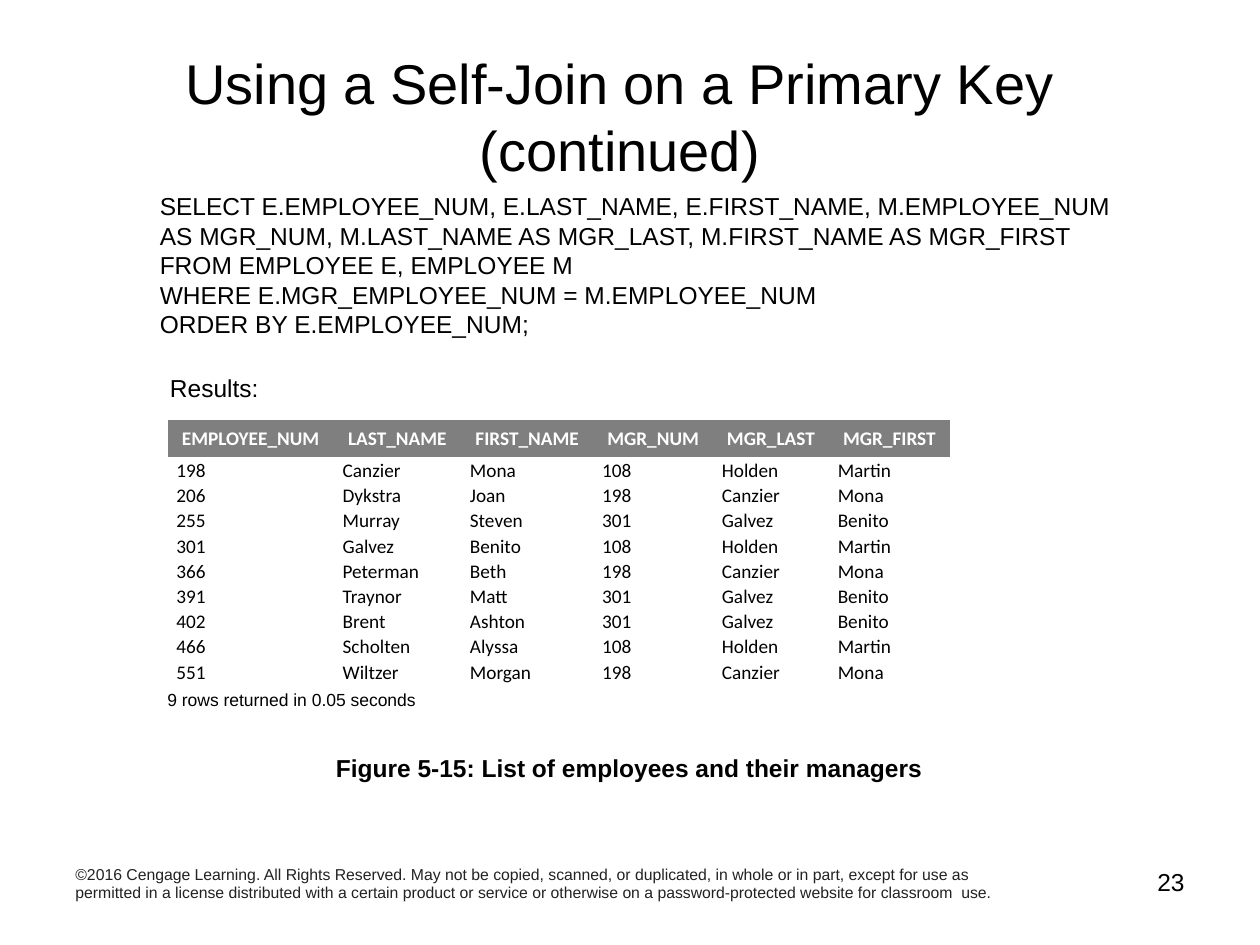
"""Build the slide on a self-join over a primary key, with its query and result table."""
from dataclasses import dataclass

from pptx import Presentation
from pptx.dml.color import RGBColor
from pptx.enum.text import MSO_ANCHOR as Anchor, PP_ALIGN as Align
from pptx.oxml.ns import qn
from pptx.slide import Slide
from pptx.util import Inches, Pt

COLORS = {"text": "000000", "copyright": "222222", "header": "7F7F7F", "header_text": "FFFFFF"}
PLAIN_STYLE = "{2D5ABB26-0587-4C30-8999-92F81FD0307C}"
CELL_FORMAT = {
    "vertical_anchor": Anchor.MIDDLE,
    "margin_left": Inches(0.07),
    "margin_right": Inches(0.07),
    "margin_top": 0,
    "margin_bottom": 0,
}


@dataclass(frozen=True)
class TextBlock:
    """A block of text with its place and look."""

    lines: tuple[str, ...]
    left: float
    top: float
    width: float
    height: float
    size: float = 14
    color: str = "text"
    bold: bool = False
    align: Align = Align.LEFT
    anchor: Anchor = Anchor.TOP
    wrap: bool = True


QUERY = (
    "SELECT E.EMPLOYEE_NUM, E.LAST_NAME, E.FIRST_NAME, M.EMPLOYEE_NUM AS MGR_NUM, "
    "M.LAST_NAME AS MGR_LAST, M.FIRST_NAME AS MGR_FIRST",
    "FROM EMPLOYEE E, EMPLOYEE M",
    "WHERE E.MGR_EMPLOYEE_NUM = M.EMPLOYEE_NUM",
    "ORDER BY E.EMPLOYEE_NUM;",
)
COPYRIGHT = (
    "©2016 Cengage Learning. All Rights Reserved. May not be copied, scanned, or duplicated, "
    "in whole or in part, except for use as permitted in a license distributed with a certain "
    "product or service or otherwise on a password-protected website for classroom  use."
)
BLOCKS = (
    TextBlock(("Using a Self-Join on a Primary Key (continued)",), 0.42, 0.29, 9, 1.25,
              size=32, align=Align.CENTER, anchor=Anchor.MIDDLE),
    TextBlock((COPYRIGHT,), 0.5, 6.81, 7.58, 0.52, size=9, color="copyright"),
    TextBlock(("23",), 8.33, 6.83, 1.17, 0.52, align=Align.RIGHT),
    TextBlock(("Figure 5-15: List of employees and their managers",), 1.12, 5.93, 7.75, 0.34,
              bold=True, align=Align.CENTER),
    TextBlock(("Results:",), 1.25, 2.91, 0.91, 0.34, wrap=False),
    TextBlock(("9 rows returned in 0.05 seconds",), 1.23, 5.42, 2.18, 0.27, size=10, wrap=False),
    TextBlock(QUERY, 1.17, 1.47, 8.03, 1.28),
)

COLUMNS = {
    "EMPLOYEE_NUM": 1.32,
    "LAST_NAME": 1.01,
    "FIRST_NAME": 1.05,
    "MGR_NUM": 0.95,
    "MGR_LAST": 0.92,
    "MGR_FIRST": 0.96,
}
MANAGERS = {
    "108": ("Holden", "Martin"),
    "198": ("Canzier", "Mona"),
    "301": ("Galvez", "Benito"),
}
EMPLOYEES = (
    ("198", "Canzier", "Mona", "108"),
    ("206", "Dykstra", "Joan", "198"),
    ("255", "Murray", "Steven", "301"),
    ("301", "Galvez", "Benito", "108"),
    ("366", "Peterman", "Beth", "198"),
    ("391", "Traynor", "Matt", "301"),
    ("402", "Brent", "Ashton", "301"),
    ("466", "Scholten", "Alyssa", "108"),
    ("551", "Wiltzer", "Morgan", "198"),
)
HEADER_HEIGHT, ROW_HEIGHT = 0.3, 0.2


def apply_format(target: object, values: dict[str, object]) -> None:
    """Set every named attribute on the target."""
    for name, value in values.items():
        setattr(target, name, value)


def style_font(font: object, face: str, size: float, color: str, bold: bool) -> None:
    """Set the face, size, weight and colour of a font."""
    apply_format(font, {"name": face, "size": Pt(size), "bold": bold})
    font.color.rgb = RGBColor.from_string(COLORS[color])


def draw_text(slide: Slide, block: TextBlock) -> None:
    """Draw a text block, one paragraph a line."""
    place = (Inches(v) for v in (block.left, block.top, block.width, block.height))
    frame = slide.shapes.add_textbox(*place).text_frame
    apply_format(frame, {"word_wrap": block.wrap, "vertical_anchor": block.anchor,
                         "text": "\n".join(block.lines)})
    for paragraph in frame.paragraphs:
        paragraph.alignment = block.align
        for run in paragraph.runs:
            style_font(run.font, "Arial", block.size, block.color, block.bold)


def draw_cell(cell: object, text: str, is_header: bool) -> None:
    """Fill one cell of the result table."""
    apply_format(cell, {"text": text, **CELL_FORMAT})
    if is_header:
        cell.fill.solid()
        cell.fill.fore_color.rgb = RGBColor.from_string(COLORS["header"])
    else:
        cell.fill.background()
    paragraph = cell.text_frame.paragraphs[0]
    apply_format(paragraph, {"alignment": Align.CENTER if is_header else Align.LEFT,
                             "line_spacing": 1.07})
    color = "header_text" if is_header else "text"
    style_font(paragraph.runs[0].font, "Calibri", 11, color, is_header)


def draw_results(slide: Slide, left: float, top: float) -> None:
    """Draw the table of employees joined to their managers."""
    rows = [tuple(COLUMNS), *(employee + MANAGERS[employee[-1]] for employee in EMPLOYEES)]
    width = sum(COLUMNS.values())
    height = HEADER_HEIGHT + ROW_HEIGHT * len(EMPLOYEES)
    results = slide.shapes.add_table(len(rows), len(COLUMNS), Inches(left), Inches(top),
                                     Inches(width), Inches(height)).table
    results.horz_banding = False
    results._tbl.tblPr.find(qn("a:tableStyleId")).text = PLAIN_STYLE
    for column, column_width in zip(results.columns, COLUMNS.values()):
        column.width = Inches(column_width)
    for index, values in enumerate(rows):
        is_header = index == 0
        results.rows[index].height = Inches(HEADER_HEIGHT if is_header else ROW_HEIGHT)
        for cell, value in zip(results.rows[index].cells, values):
            draw_cell(cell, value, is_header)


def main() -> None:
    """Build and save the slide."""
    deck = Presentation()
    apply_format(deck, {"slide_width": Inches(10), "slide_height": Inches(7.5)})
    slide = deck.slides.add_slide(deck.slide_layouts[6])
    for block in BLOCKS:
        draw_text(slide, block)
    draw_results(slide, 1.33, 3.33)
    deck.save("out.pptx")


if __name__ == "__main__":
    main()
